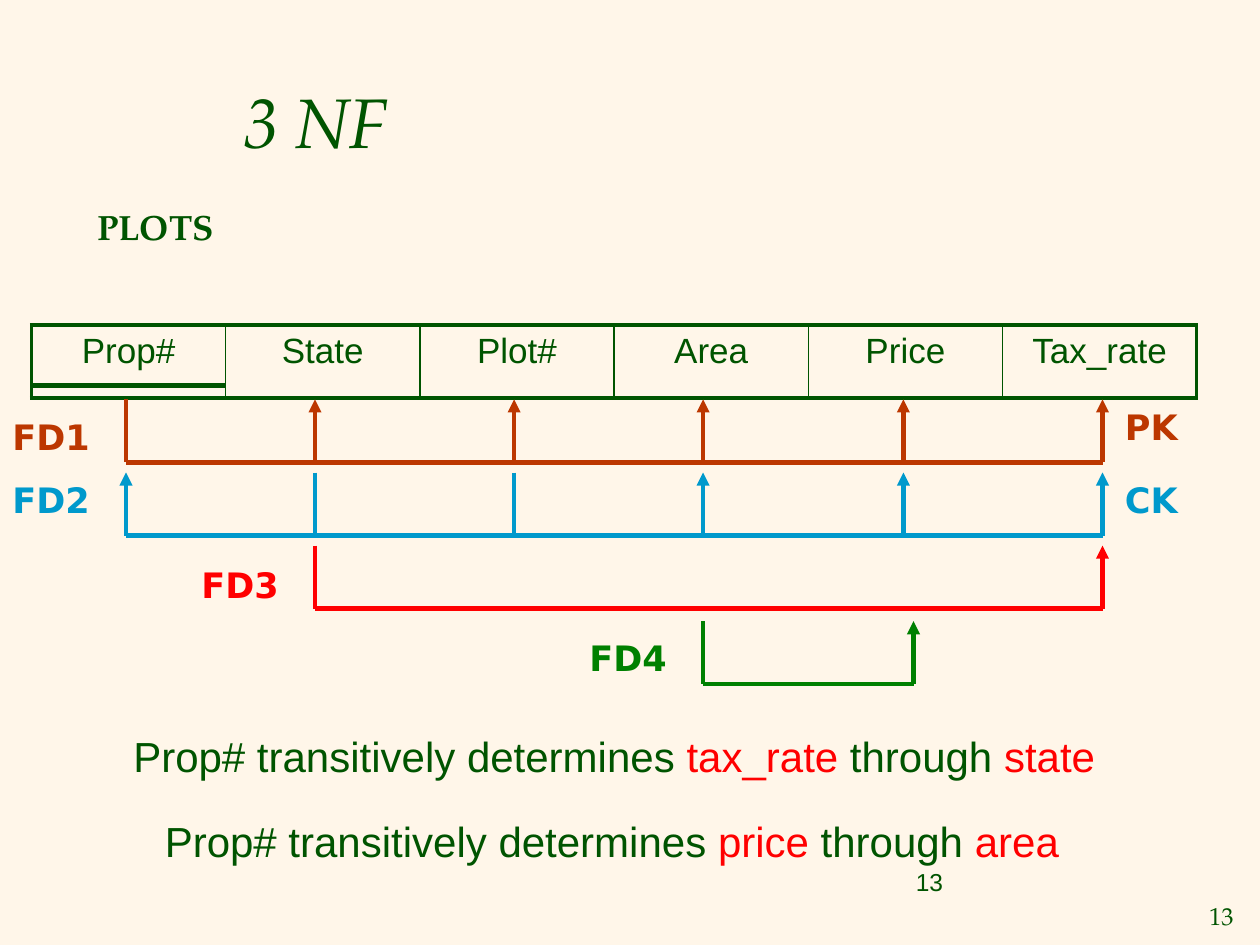
from dataclasses import dataclass

import lxml.etree
import pptx
import pptx.dml.color
import pptx.enum.shapes
import pptx.enum.text
import pptx.oxml.ns
import pptx.util

Inches, Pt = pptx.util.Inches, pptx.util.Pt
Align, Anchor = pptx.enum.text.PP_ALIGN, pptx.enum.text.MSO_ANCHOR
qn = pptx.oxml.ns.qn


@dataclass(frozen=True)
class Theme:
    background: str = "FFF6E9"
    ink: str = "005400"
    primary: str = "BC3700"
    candidate: str = "0099CC"
    alert: str = "FF0000"
    local: str = "008000"
    serif: str = "TeX Gyre Pagella"
    sans: str = "Arial"
    label: str = "DejaVu Sans"
    title_size: int = 40
    statement_size: int = 24
    text_size: int = 20
    number_size: int = 14
    line_width: float = 2.5
    border_outer: float = 2.25
    border_inner: float = 1


THEME = Theme()


@dataclass(frozen=True)
class Run:
    text: str
    font: str
    size: int
    color: str = THEME.ink
    bold: bool = False
    italic: bool = False


@dataclass(frozen=True)
class Dependency:
    color: str
    bus_y: float
    sources: tuple[float, ...]
    targets: tuple[float, ...]


@dataclass(frozen=True)
class Label:
    text: str
    left: float
    top: float
    color: str


def rgb(color: str) -> pptx.dml.color.RGBColor:
    return pptx.dml.color.RGBColor.from_string(color)


def add_runs(paragraph, runs: list[Run]) -> None:
    for item in runs:
        run = paragraph.add_run()
        run.text = item.text
        run.font.name, run.font.size = item.font, Pt(item.size)
        run.font.bold, run.font.italic = item.bold, item.italic
        run.font.color.rgb = rgb(item.color)


def place(shape, left: float, top: float, width: float, height: float) -> None:
    shape.left, shape.top = Inches(left), Inches(top)
    shape.width, shape.height = Inches(width), Inches(height)


def fill_placeholder(shape, run: Run, anchor: Anchor) -> None:
    frame = shape.text_frame
    frame.auto_size = pptx.enum.text.MSO_AUTO_SIZE.NONE
    frame.vertical_anchor = anchor
    paragraph = frame.paragraphs[0]
    paragraph.alignment, paragraph.space_before = Align.LEFT, Pt(0)
    add_runs(paragraph, [run])


def add_text(slide, left: float, top: float, width: float, height: float,
             runs: list[Run], indent: float = 0, align: Align = Align.LEFT) -> None:
    frame = slide.shapes.add_textbox(
        Inches(left), Inches(top), Inches(width), Inches(height)).text_frame
    frame.word_wrap = True
    paragraph = frame.paragraphs[0]
    paragraph.alignment = align
    if indent:
        paragraph._p.get_or_add_pPr().set("marL", str(Inches(indent)))
    add_runs(paragraph, runs)


def add_line(shapes, start: tuple[float, float], end: tuple[float, float],
             color: str, arrow: bool = False) -> None:
    line = shapes.add_connector(pptx.enum.shapes.MSO_CONNECTOR.STRAIGHT,
                                *(Inches(value) for value in start + end))
    line.line.color.rgb, line.line.width = rgb(color), Pt(THEME.line_width)
    if arrow:
        outline = line.line._get_or_add_ln()
        lxml.etree.SubElement(outline, qn("a:tailEnd"), type="triangle")
    lxml.etree.SubElement(line._element.spPr, qn("a:effectLst"))


def add_dependency(slide, dependency: Dependency) -> None:
    shapes = slide.shapes.add_group_shape().shapes
    bottom, top = dependency.bus_y, dependency.bus_y - 0.5
    ends = dependency.sources + dependency.targets
    add_line(shapes, (min(ends), bottom), (max(ends), bottom), dependency.color)
    for x in dependency.sources:
        add_line(shapes, (x, top), (x, bottom), dependency.color)
    for x in dependency.targets:
        add_line(shapes, (x, bottom), (x, top), dependency.color, arrow=True)


def set_border(cell, side: str, width: float) -> None:
    border = lxml.etree.SubElement(cell._tc.get_or_add_tcPr(), qn(f"a:ln{side}"),
                                   w=str(Pt(width)))
    fill = lxml.etree.SubElement(border, qn("a:solidFill"))
    lxml.etree.SubElement(fill, qn("a:srgbClr"), val=THEME.ink)


def add_schema(slide, attributes: list[str]) -> None:
    table = slide.shapes.add_table(1, len(attributes), Inches(0.25), Inches(2.58),
                                   Inches(9.25), Inches(0.58)).table
    table.first_row = table.horz_banding = False
    outer, inner = THEME.border_outer, THEME.border_inner
    last = len(attributes) - 1
    for index, attribute in enumerate(attributes):
        cell = table.cell(0, index)
        paragraph = cell.text_frame.paragraphs[0]
        paragraph.alignment = Align.CENTER
        add_runs(paragraph, [Run(attribute, THEME.sans, THEME.text_size)])
        set_border(cell, "L", outer if index == 0 else inner)
        set_border(cell, "R", outer if index == last else inner)
        set_border(cell, "T", outer)
        set_border(cell, "B", outer)
        cell.fill.background()


def add_statement(slide, left: float, top: float, width: float,
                  target: str, via: str) -> None:
    parts = [("Prop# transitively determines ", THEME.ink), (target, THEME.alert),
             (" through ", THEME.ink), (via, THEME.alert)]
    runs = [Run(text, THEME.sans, THEME.statement_size, color) for text, color in parts]
    add_text(slide, left, top, width, 0.5, runs, indent=0.38)


presentation = pptx.Presentation()
presentation.slide_width, presentation.slide_height = Inches(10), Inches(7.5)
slide = presentation.slides.add_slide(presentation.slide_layouts[1])
slide.background.fill.solid()
slide.background.fill.fore_color.rgb = rgb(THEME.background)

# Title and relation name
title, body = slide.shapes.title, slide.placeholders[1]
place(title, 1.83, 0.58, 7.76, 0.75)
fill_placeholder(title, Run("3 NF", THEME.serif, THEME.title_size, italic=True),
                 Anchor.MIDDLE)
place(body, 0.67, 1.58, 1.59, 0.5)
fill_placeholder(body, Run("PLOTS", THEME.serif, THEME.text_size, bold=True), Anchor.TOP)
properties = body.text_frame.paragraphs[0]._p.get_or_add_pPr()
properties.set("marL", "0")
properties.set("indent", "0")
lxml.etree.SubElement(properties, qn("a:buNone"))

# Relation schema with its key underlined
add_schema(slide, ["Prop#", "State", "Plot#", "Area", "Price", "Tax_rate"])
add_line(slide.shapes, (0.26, 3.06), (1.79, 3.06), THEME.ink)

# Functional dependencies
PROP, STATE, PLOT, AREA, PRICE, TAX = 1, 2.5, 4.08, 5.58, 7.17, 8.75
for dependency in (
    Dependency(THEME.primary, 3.67, (PROP,), (STATE, PLOT, AREA, PRICE, TAX)),
    Dependency(THEME.candidate, 4.25, (STATE, PLOT), (PROP, AREA, PRICE, TAX)),
    Dependency(THEME.alert, 4.83, (STATE,), (TAX,)),
    Dependency(THEME.local, 5.43, (AREA,), (PRICE + 0.08,)),
):
    add_dependency(slide, dependency)

# Dependency and key labels
for label in (
    Label("FD1", 0, 3.25, THEME.primary),
    Label("PK", 8.83, 3.17, THEME.primary),
    Label("FD2", 0, 3.75, THEME.candidate),
    Label("CK", 8.83, 3.75, THEME.candidate),
    Label("FD3", 1.5, 4.42, THEME.alert),
    Label("FD4", 4.58, 5, THEME.local),
):
    add_text(slide, label.left, label.top, 0.92, 0.43,
             [Run(label.text, THEME.label, THEME.text_size, label.color, bold=True)])

# Conclusions
add_statement(slide, 0.58, 5.75, 8.5, "tax_rate", "state")
add_statement(slide, 0.83, 6.42, 8, "price", "area")

# Slide numbers
add_text(slide, 7.17, 6.83, 2.33, 0.52, [Run("13", THEME.sans, THEME.number_size)])
add_text(slide, 9.45, 7.1, 0.44, 0.33, [Run("13", THEME.serif, THEME.number_size)],
         align=Align.RIGHT)

presentation.save("out.pptx")
